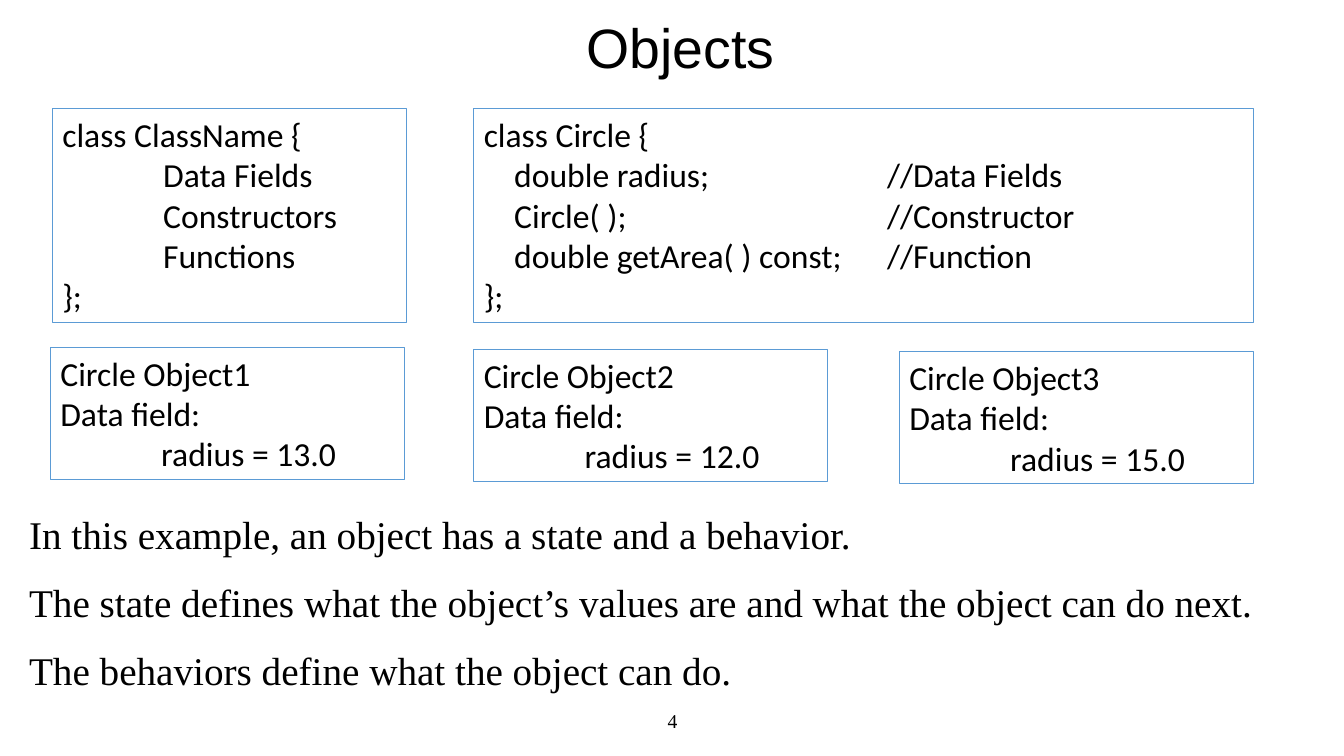
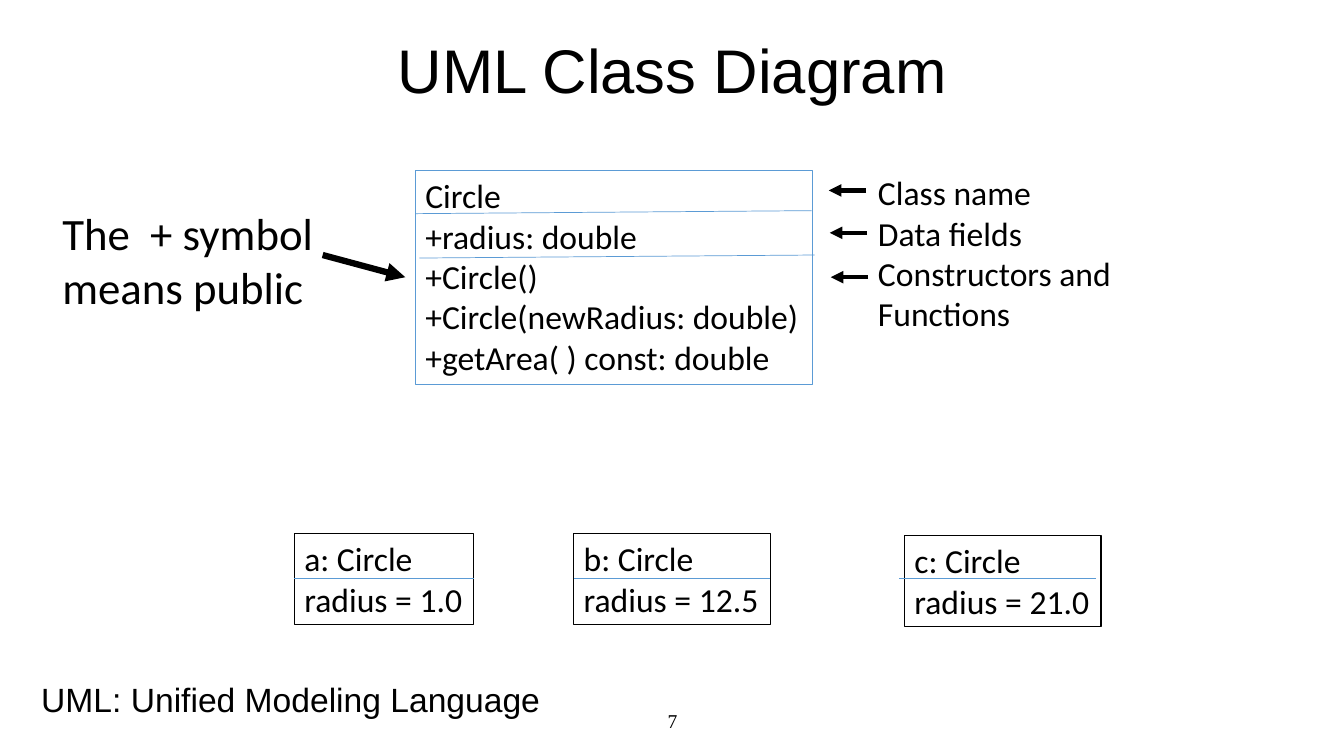
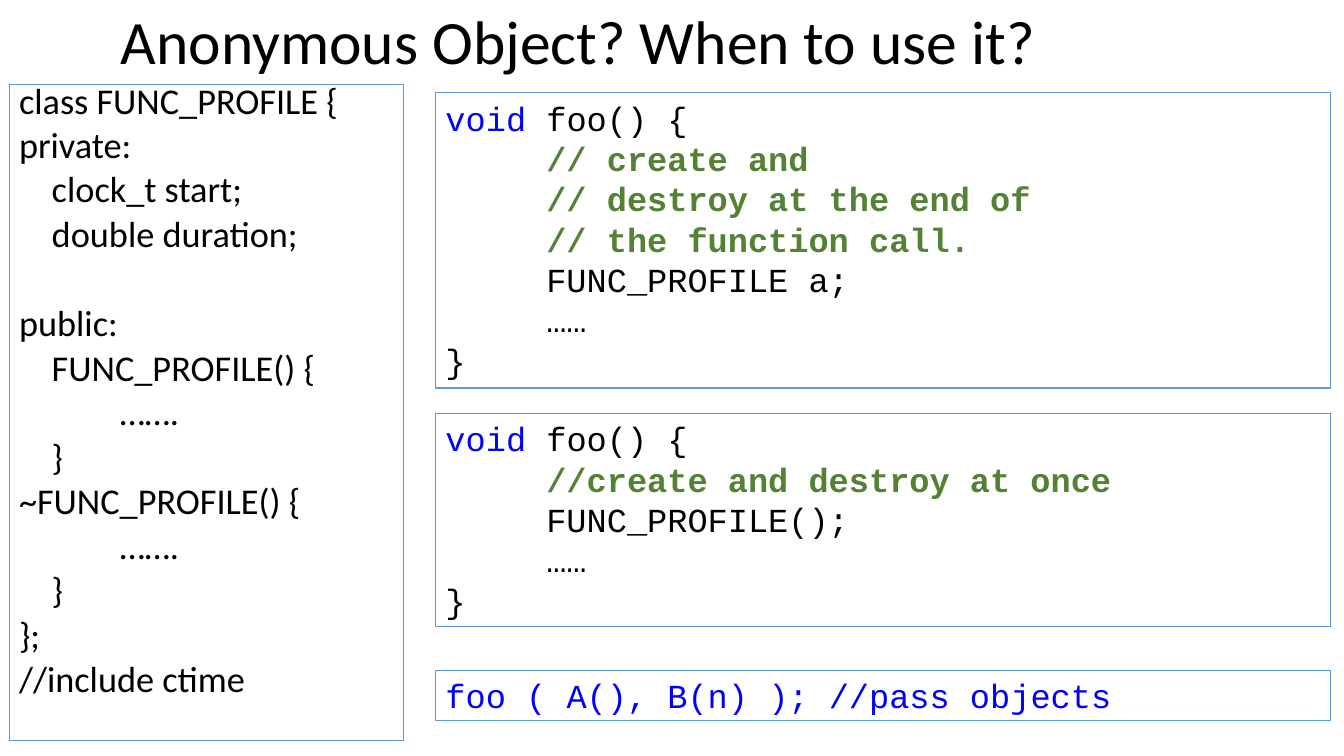
import pptx
import pptx.util
import pptx.dml.color
import pptx.enum.shapes
import pptx.enum.text
import pptx.oxml
import pptx.oxml.ns
from lxml import etree

Inches = pptx.util.Inches
Pt = pptx.util.Pt
ALIGN = pptx.enum.text.PP_ALIGN
ANCHOR = pptx.enum.text.MSO_ANCHOR
AUTO_SIZE = pptx.enum.text.MSO_AUTO_SIZE

# Shared look
BLACK, BLUE, KEYWORD_BLUE, COMMENT_GREEN = "000000", "5B9BD5", "0000FF", "548235"
SANS, HEADING, SERIF, CODE = "Calibri", "Arial", "Times New Roman", "Courier New"
KEYWORD = dict(color=KEYWORD_BLUE)
COMMENT = dict(color=COMMENT_GREEN, bold=True)

# Slide 1 content
CLASS_TEMPLATE = ["class ClassName {", "\tData Fields", "\tConstructors", "\tFunctions", "};"]
CIRCLE_CLASS = [
    "class Circle {",
    "    double radius;\t//Data Fields",
    "    Circle( );\t//Constructor",
    "    double getArea( ) const;\t//Function",
    "};",
]
CIRCLE_OBJECTS = [(0.5, 3.45, "13.0"), (4.7, 3.47, "12.0"), (8.92, 3.49, "15.0")]
OBJECT_NOTES = [
    "In this example, an object has a state and a behavior.",
    "The state defines what the object’s values are and what the object can do next.",
    "The behaviors define what the object can do.",
]

# Slide 2 content
UML_CLASS = ["Circle", "+radius: double", "+Circle()", "+Circle(newRadius: double)",
             "+getArea( ) const: double"]
UML_LABELS = ["Class name", "Data fields", "Constructors and", "Functions"]
UML_DIVIDERS = [(4.12, 2.12, 8.05, 2.09), (4.16, 2.56, 8.08, 2.53)]
LABEL_ARROWS = [(8.59, 1.89), (8.6, 2.31), (8.61, 2.75)]
# left, top, width, divider left, name, radius
UML_OBJECTS = [
    (2.92, 5.29, 1.78, 2.92, "a", "1.0"),
    (5.69, 5.29, 1.95, 5.69, "b", "12.5"),
    (8.97, 5.31, 1.95, 8.92, "c", "21.0"),
]

# Slide 3 content: a line is text or a list of (text, format) runs
PROFILE_START = ["class FUNC_PROFILE {", "private:", "    clock_t start;", "    double duration;"]
PROFILE_REST = [
    "public:", "    FUNC_PROFILE() {", "\t…….", "    }",
    "~FUNC_PROFILE() {", "\t…….", "    }", "};", "//include ctime",
]
FOO_START = [("void", KEYWORD), (" foo() {", {})]
FOO_END = ["\t……", "}"]
CODE_BOXES = [
    (0.92, 2.93, [
        FOO_START,
        [("\t// create and", COMMENT)],
        [("\t// destroy at the end of", COMMENT)],
        [("\t// the function call.", COMMENT)],
        "\tFUNC_PROFILE a;", *FOO_END]),
    (4.1, 2.12, [
        FOO_START,
        [("\t//create and destroy at once", COMMENT)],
        "\tFUNC_PROFILE();", *FOO_END]),
    (6.65, 0.5, [[("foo ( A(), B(n) ); //pass objects", KEYWORD)]]),
]


def rgb(color):
    return pptx.dml.color.RGBColor.from_string(color)


def add_text(slide, lines, left, top, width, height, *, size=24, font=SANS, border=None,
             align=ALIGN.LEFT, anchor=ANCHOR.TOP, wrap=True, grow=True,
             line_spacing=None, space_before=0, gaps=None, tab=1):
    """Place lines of text, in a bordered rectangle if border is a colour.

    gaps maps a line index to its own space before, in points.
    """
    place = [Inches(value) for value in (left, top, width, height)]
    if border:
        shape = slide.shapes.add_shape(pptx.enum.shapes.MSO_SHAPE.RECTANGLE, *place)
        shape.shadow.inherit = False
        shape.fill.background()
        shape.line.color.rgb = rgb(border)
        shape.line.width = Pt(0.75)
    else:
        shape = slide.shapes.add_textbox(*place)
    frame = shape.text_frame
    frame.word_wrap = wrap
    frame.auto_size = AUTO_SIZE.SHAPE_TO_FIT_TEXT if grow else AUTO_SIZE.NONE
    frame.vertical_anchor = anchor
    for index, line in enumerate(lines):
        paragraph = frame.add_paragraph() if index else frame.paragraphs[0]
        paragraph.alignment = align
        if line_spacing:
            paragraph.line_spacing = line_spacing
        if index:
            paragraph.space_before = Pt((gaps or {}).get(index, space_before))
        runs = [(line, {})] if isinstance(line, str) else line
        if any("\t" in text for text, _ in runs):
            add_tab_stop(paragraph, tab)
        for text, style in runs:
            run = paragraph.add_run()
            run.text = text
            run.font.name = font
            run.font.size = Pt(size)
            run.font.bold = style.get("bold", False)
            run.font.color.rgb = rgb(style.get("color", BLACK))


def add_tab_stop(paragraph, position):
    properties = paragraph._p.get_or_add_pPr()
    tab_list = etree.SubElement(properties, pptx.oxml.ns.qn("a:tabLst"))
    etree.SubElement(tab_list, pptx.oxml.ns.qn("a:tab"),
                     pos=str(Inches(position)), algn="l")


def add_line(slide, x1, y1, x2, y2, *, color=BLUE, width=0.5, arrow=False):
    line = slide.shapes.add_connector(pptx.enum.shapes.MSO_CONNECTOR.STRAIGHT,
                                      Inches(x1), Inches(y1), Inches(x2), Inches(y2))
    line.line.color.rgb = rgb(color)
    line.line.width = Pt(width)
    if arrow:
        etree.SubElement(line.line._get_or_add_ln(), pptx.oxml.ns.qn("a:tailEnd"),
                         type="triangle")
    etree.SubElement(line._element.spPr, pptx.oxml.ns.qn("a:effectLst"))


def add_slide(presentation, title, place, number=None, **title_format):
    slide = presentation.slides.add_slide(presentation.slide_layouts[6])
    title_style = dict(size=44, font=HEADING, align=ALIGN.CENTER) | title_format
    add_text(slide, [title], *place, anchor=ANCHOR.MIDDLE, grow=False,
             line_spacing=0.9, **title_style)
    if number:
        add_text(slide, [number], 4.42, 6.95, 4.5, 0.4, size=14, font=SERIF,
                 align=ALIGN.CENTER, anchor=ANCHOR.MIDDLE, grow=False)
    return slide


def build_objects(presentation):
    slide = add_slide(presentation, "Objects", (2.5, 0.17, 8.5, 0.67), "4", size=39.6)
    add_text(slide, OBJECT_NOTES, 0.19, 5.01, 12.95, 1.99, size=28, font=SERIF,
             space_before=15)
    add_text(slide, CIRCLE_CLASS, 4.7, 1.08, 7.73, 2.12, border=BLUE, tab=4)
    add_text(slide, CLASS_TEMPLATE, 0.52, 1.08, 3.51, 2.12, border=BLUE)
    for index, (left, top, radius) in enumerate(CIRCLE_OBJECTS, 1):
        lines = [f"Circle Object{index}", "Data field:", f"\tradius = {radius}"]
        add_text(slide, lines, left, top, 3.51, 1.31, border=BLUE)


def build_class_diagram(presentation):
    slide = add_slide(presentation, "UML Class Diagram", (2.42, -0.05, 8.5, 1.56), "7")
    # Class box with its labels
    add_text(slide, UML_CLASS, 4.12, 1.69, 3.94, 2.12, border=BLUE, wrap=False)
    for ends in UML_DIVIDERS:
        add_line(slide, *ends)
    add_text(slide, UML_LABELS, 8.61, 1.66, 2.53, 1.72, wrap=False)
    for x, y in LABEL_ARROWS:
        add_line(slide, x, y, x - 0.37, y, color=BLACK, width=3, arrow=True)
    add_line(slide, 3.2, 2.53, 4.02, 2.75, color=BLACK, width=4.5, arrow=True)
    add_text(slide, ["The  + symbol means public"], 0.52, 1.99, 3.06, 1.18, size=32)
    # Object boxes
    for left, top, width, line_left, name, radius in UML_OBJECTS:
        add_text(slide, [f"{name}: Circle", f"radius = {radius}"], left, top, width, 0.91,
                 border=BLACK, wrap=False)
        add_line(slide, line_left, 5.74, line_left + width, 5.74)
    add_text(slide, ["UML: Unified Modeling Language"], 0.31, 6.69, 5.21, 0.5,
             font=HEADING, wrap=False)


def build_anonymous_object(presentation):
    slide = add_slide(presentation, "Anonymous Object? When to use it?",
                      (1.1, -0.28, 11.5, 1.45), font=SANS, align=ALIGN.LEFT)
    add_text(slide, PROFILE_START + PROFILE_REST, 0.09, 0.84, 3.91, 6.51, size=25.9,
             border=BLUE, grow=False, line_spacing=0.7, space_before=10,
             gaps={len(PROFILE_START): 42})
    for top, height, lines in CODE_BOXES:
        add_text(slide, lines, 4.32, top, 8.88, height, font=CODE, border=BLUE)


def main():
    presentation = pptx.Presentation()
    presentation.slide_width = Inches(13.33)
    presentation.slide_height = Inches(7.5)
    build_objects(presentation)
    build_class_diagram(presentation)
    build_anonymous_object(presentation)
    presentation.save("out.pptx")


if __name__ == "__main__":
    main()
